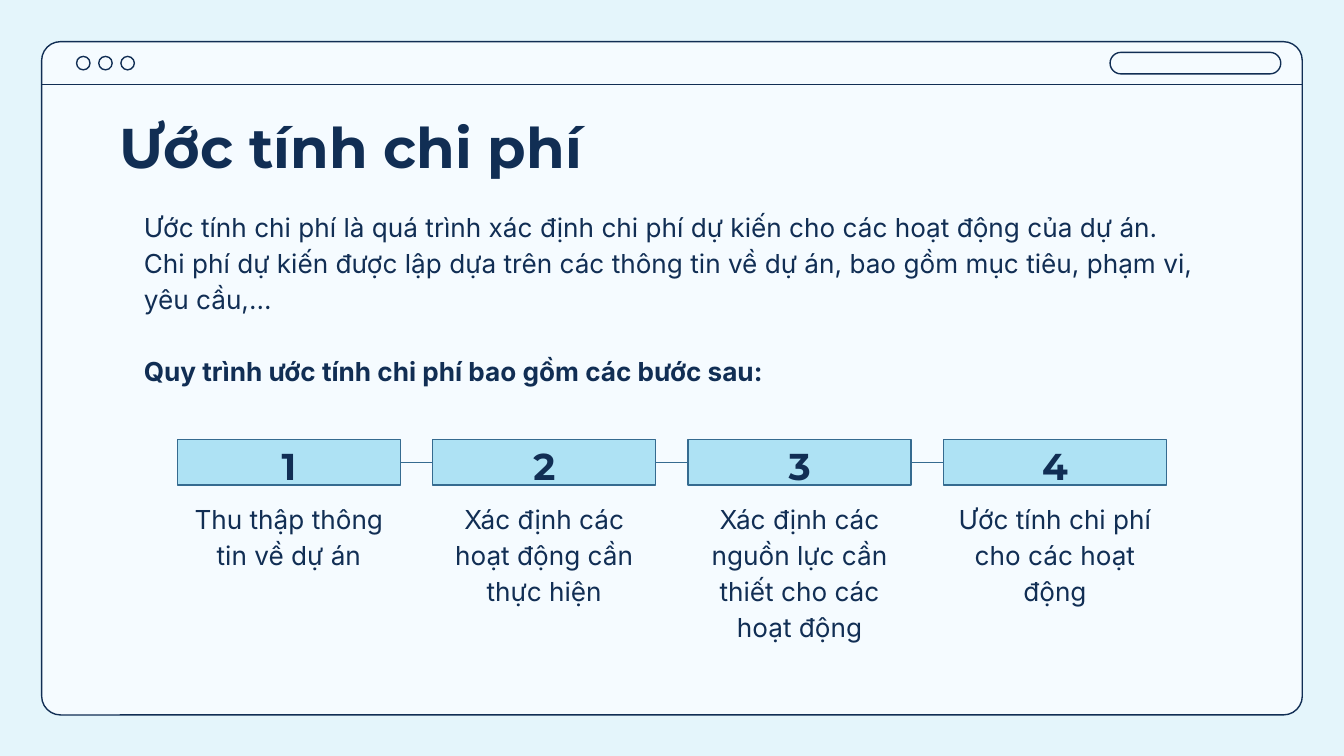
from lxml import etree
from pptx import Presentation
from pptx.dml.color import RGBColor
from pptx.enum.shapes import MSO_CONNECTOR, MSO_SHAPE
from pptx.enum.text import MSO_ANCHOR, MSO_AUTO_SIZE, PP_ALIGN
from pptx.oxml.ns import qn
from pptx.util import Inches, Pt

RECT, ROUND, OVAL = MSO_SHAPE.RECTANGLE, MSO_SHAPE.ROUNDED_RECTANGLE, MSO_SHAPE.OVAL
STRAIGHT = MSO_CONNECTOR.STRAIGHT
TOP, MIDDLE, BOTTOM = MSO_ANCHOR.TOP, MSO_ANCHOR.MIDDLE, MSO_ANCHOR.BOTTOM
LEFT, CENTER = PP_ALIGN.LEFT, PP_ALIGN.CENTER
NO_AUTOFIT = MSO_AUTO_SIZE.NONE

COLORS = {
    "background": "E4F5FB",
    "window": "F5FBFF",
    "ink": "112E54",
    "step": "AEE2F4",
    "step_line": "356B90",
}
HEADING_FONT, BODY_FONT = "Montserrat", "Inter"

TITLE = "Ước tính chi phí"
INTRO = (
    "Ước tính chi phí là quá trình xác định chi phí dự kiến cho các hoạt động của dự án. "
    "Chi phí dự kiến được lập dựa trên các thông tin về dự án, bao gồm mục tiêu, phạm vi, "
    "yêu cầu,..."
)
LEAD_IN = "Quy trình ước tính chi phí bao gồm các bước sau:"
STEPS = [
    "Thu thập thông tin về dự án",
    "Xác định các hoạt động cần thực hiện",
    "Xác định các nguồn lực cần thiết cho các hoạt động",
    "Ước tính chi phí cho các hoạt động",
]
STEP_LEFT, STEP_TOP, STEP_PITCH = 1.32, 3.27, 1.9
STEP_WIDTH, STEP_HEIGHT = 1.66, 0.34


def rgb(name):
    return RGBColor.from_string(COLORS[name])


def inches(*lengths):
    return [Inches(length) for length in lengths]


def add_box(s, kind, box, fill=None, line="ink", radius=None):
    sp = s.shapes.add_shape(kind, *inches(*box))
    sp.shadow.inherit = False
    if fill:
        sp.fill.solid()
        sp.fill.fore_color.rgb = rgb(fill)
    else:
        sp.fill.background()
    sp.line.color.rgb = rgb(line)
    sp.line.width = Pt(0.75)
    if radius is not None:
        sp.adjustments[0] = radius
    return sp


def add_line(s, start, end, color):
    line = s.shapes.add_connector(STRAIGHT, *inches(*start, *end))
    line.line.color.rgb = rgb(color)
    line.line.width = Pt(0.75)
    etree.SubElement(line._element.spPr, qn("a:effectLst"))
    return line


def set_frame(tf, anchor=TOP):
    tf.word_wrap = True
    tf.auto_size = NO_AUTOFIT
    tf.vertical_anchor = anchor
    tf.margin_left = tf.margin_right = tf.margin_top = tf.margin_bottom = Inches(0.1)


def set_paragraph(p, text, size, font=BODY_FONT, bold=False, align=LEFT, spacing=1.15):
    p.text = text
    p.alignment = align
    p.line_spacing = spacing
    p.space_before = Pt(0)
    p.font.name = font
    p.font.size = Pt(size)
    p.font.bold = bold
    p.font.color.rgb = rgb("ink")


def remove_bullet(p):
    pPr = p._p.get_or_add_pPr()
    pPr.set("marL", "0")
    pPr.set("indent", "0")
    pPr.insert_element_before(
        pPr.makeelement(qn("a:buNone"), {}), "a:tabLst", "a:defRPr", "a:extLst"
    )


def place(sp, box):
    sp.left, sp.top, sp.width, sp.height = inches(*box)


def add_window(s):
    add_box(s, ROUND, (0.31, 0.31, 9.38, 5.01), fill="window", radius=0.028)
    for i in range(3):
        add_box(s, OVAL, (0.57 + i * 0.165, 0.42, 0.1, 0.1))
    add_box(s, ROUND, (8.26, 0.39, 1.27, 0.16), radius=0.5)
    add_line(s, (0.31, 0.63), (9.69, 0.63), "ink")


def fill_title(sp):
    place(sp, (0.79, 0.75, 4.14, 0.69))
    set_frame(sp.text_frame, BOTTOM)
    set_paragraph(sp.text_frame.paragraphs[0], TITLE, 30, HEADING_FONT, True, spacing=1.0)


def fill_body(sp):
    place(sp, (0.97, 1.44, 8.06, 1.21))
    tf = sp.text_frame
    set_frame(tf)
    intro, lead_in = tf.paragraphs[0], tf.add_paragraph()
    set_paragraph(intro, INTRO, 14)
    set_paragraph(lead_in, LEAD_IN, 14, bold=True)
    lead_in.space_before = Pt(19.3)
    for p in tf.paragraphs:
        remove_bullet(p)


def add_step(s, index, text):
    """Add a numbered box with its caption below and return the box."""
    left = STEP_LEFT + index * STEP_PITCH
    caption = s.shapes.add_textbox(
        *inches(left, STEP_TOP + STEP_HEIGHT, STEP_WIDTH, 0.46)
    )
    set_frame(caption.text_frame)
    set_paragraph(caption.text_frame.paragraphs[0], text, 14, align=CENTER)

    box = add_box(s, RECT, (left, STEP_TOP, STEP_WIDTH, STEP_HEIGHT), "step", "step_line")
    set_frame(box.text_frame, MIDDLE)
    set_paragraph(
        box.text_frame.paragraphs[0], str(index + 1), 20, HEADING_FONT, True, CENTER
    )
    return box


def join_steps(s, before, after):
    line = add_line(s, (0, 0), (0, 0), "step_line")
    line.begin_connect(before, 3)
    line.end_connect(after, 1)


def main():
    prs = Presentation()
    prs.slide_width = Inches(10)
    prs.slide_height = int(prs.slide_width * 9 / 16)
    s = prs.slides.add_slide(prs.slide_layouts[1])
    s.background.fill.solid()
    s.background.fill.fore_color.rgb = rgb("background")

    title, body = s.placeholders
    add_window(s)
    # Bring the text in front of the window.
    s.shapes._spTree.extend([title._element, body._element])
    fill_title(title)
    fill_body(body)

    boxes = [add_step(s, i, text) for i, text in enumerate(STEPS)]
    for before, after in zip(boxes, boxes[1:]):
        join_steps(s, before, after)
    prs.save("out.pptx")


if __name__ == "__main__":
    main()
